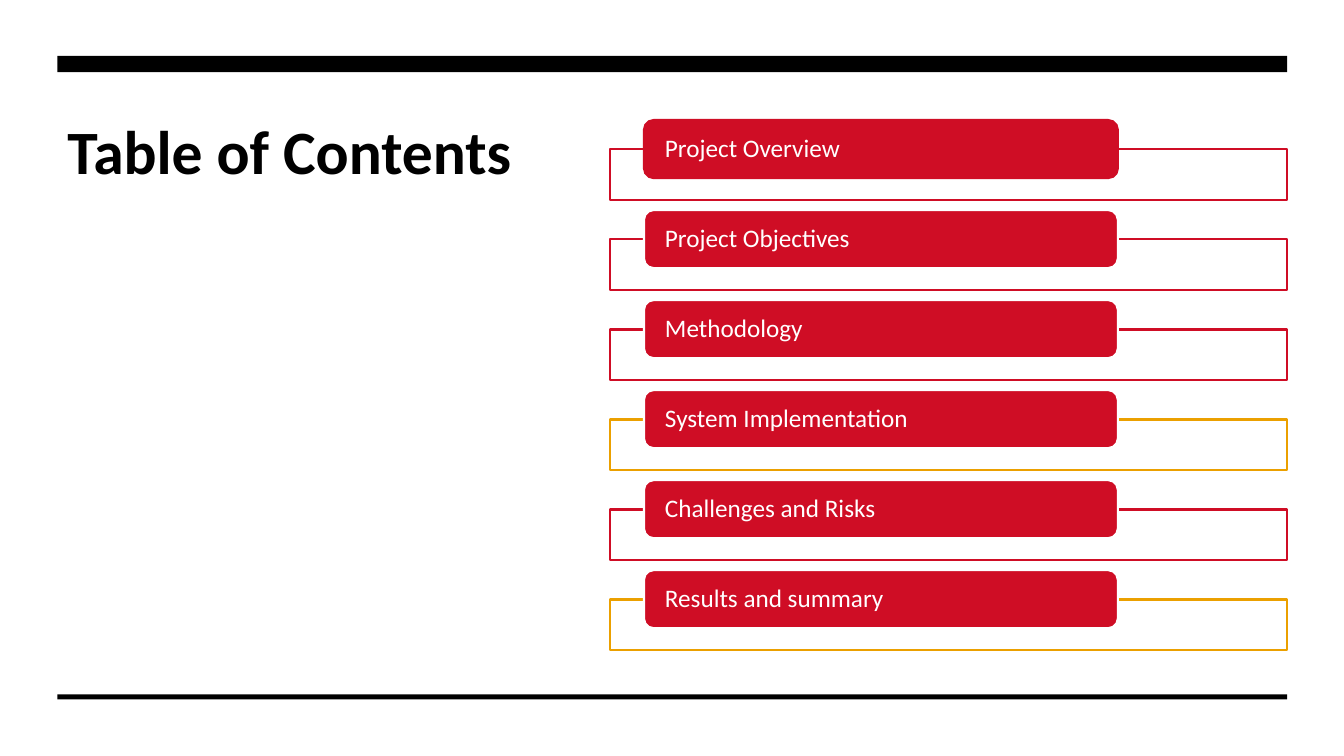
import pptx
import pptx.util
import pptx.dml.color
import pptx.enum.shapes
import pptx.enum.text
import pptx.oxml
import pptx.oxml.ns
from dataclasses import dataclass

Pt = pptx.util.Pt
SHAPE = pptx.enum.shapes.MSO_SHAPE
ALIGN = pptx.enum.text.PP_ALIGN
ANCHOR = pptx.enum.text.MSO_ANCHOR


@dataclass(frozen=True)
class Theme:
    font: str = "Calibri"
    head: int = 44
    body: int = 18
    line: float = 1.5
    black: str = "000000"
    white: str = "FFFFFF"
    red: str = "CF0D25"
    gold: str = "EBA000"


def rgb(code):
    return pptx.dml.color.RGBColor.from_string(code)


def assign(target, values):
    for name, value in values.items():
        setattr(target, name, value)


class Deck:
    def __init__(self, theme):
        self.theme = theme
        self.show = pptx.Presentation()
        assign(self.show, {"slide_width": Pt(960), "slide_height": Pt(540)})
        self.slide = self.show.slides.add_slide(self.show.slide_layouts[5])
        back = self.slide.background.fill
        back.solid()
        back.fore_color.rgb = rgb(theme.white)

    def label(self, shape, text, size, color, bold=False, **frame):
        """Put one left-aligned paragraph in a shape."""
        box = shape.text_frame
        assign(box, {"word_wrap": True, **frame})
        para = box.paragraphs[0]
        para.alignment = ALIGN.LEFT
        run = para.add_run()
        run.text = text
        assign(run.font, {"name": self.theme.font, "size": Pt(size), "bold": bold})
        run.font.color.rgb = rgb(color)
        return para

    def title(self, text, place):
        shape = self.slide.shapes.title
        assign(shape, dict(zip(("left", "top", "width", "height"), map(Pt, place))))
        self.label(shape, text, self.theme.head, self.theme.black, True,
                   vertical_anchor=ANCHOR.TOP)

    def block(self, place, fill, line=None, kind=SHAPE.RECTANGLE, alpha=None):
        shape = self.slide.shapes.add_shape(kind, *map(Pt, place))
        shape.shadow.inherit = False
        shape.fill.solid()
        shape.fill.fore_color.rgb = rgb(fill)
        if alpha is not None:
            tint = shape.fill._xPr.find(".//" + pptx.oxml.ns.qn("a:srgbClr"))
            tint.append(pptx.oxml.parse_xml(
                f'<a:alpha {pptx.oxml.ns.nsdecls("a")} val="{alpha * 1000}"/>'))
        if line:
            shape.line.color.rgb = rgb(line)
            shape.line.width = Pt(self.theme.line)
        else:
            shape.line.fill.background()
        return shape

    def entry(self, text, top, frame, edge):
        """Draw one contents item: an open frame with a pill across its top."""
        theme = self.theme
        self.block((435.5, top + 21, 484, 36), theme.white, frame, alpha=90)
        pill = self.block((460, top, 338.5, 41.5), theme.red, edge,
                          SHAPE.ROUNDED_RECTANGLE)
        para = self.label(pill, text, theme.body, theme.white,
                          vertical_anchor=ANCHOR.MIDDLE,
                          margin_left=Pt(13), margin_right=Pt(13),
                          margin_top=0, margin_bottom=0)
        para.line_spacing = 0.9


def main():
    theme = Theme()
    deck = Deck(theme)
    deck.title("Table of Contents", (41, 77, 338, 265))
    for top, height in ((40, 11.5), (496, 3.5)):
        deck.block((41, top, 878.5, height), theme.black)
    items = (
        ("Project Overview", theme.red, theme.red),
        ("Project Objectives", theme.red, theme.white),
        ("Methodology", theme.red, theme.white),
        ("System Implementation", theme.gold, theme.white),
        ("Challenges and Risks", theme.red, theme.white),
        ("Results and summary", theme.gold, theme.white),
    )
    for row, (text, frame, edge) in enumerate(items):
        deck.entry(text, 85.75 + row * 64.3, frame, edge)
    deck.show.save("out.pptx")


if __name__ == "__main__":
    main()
